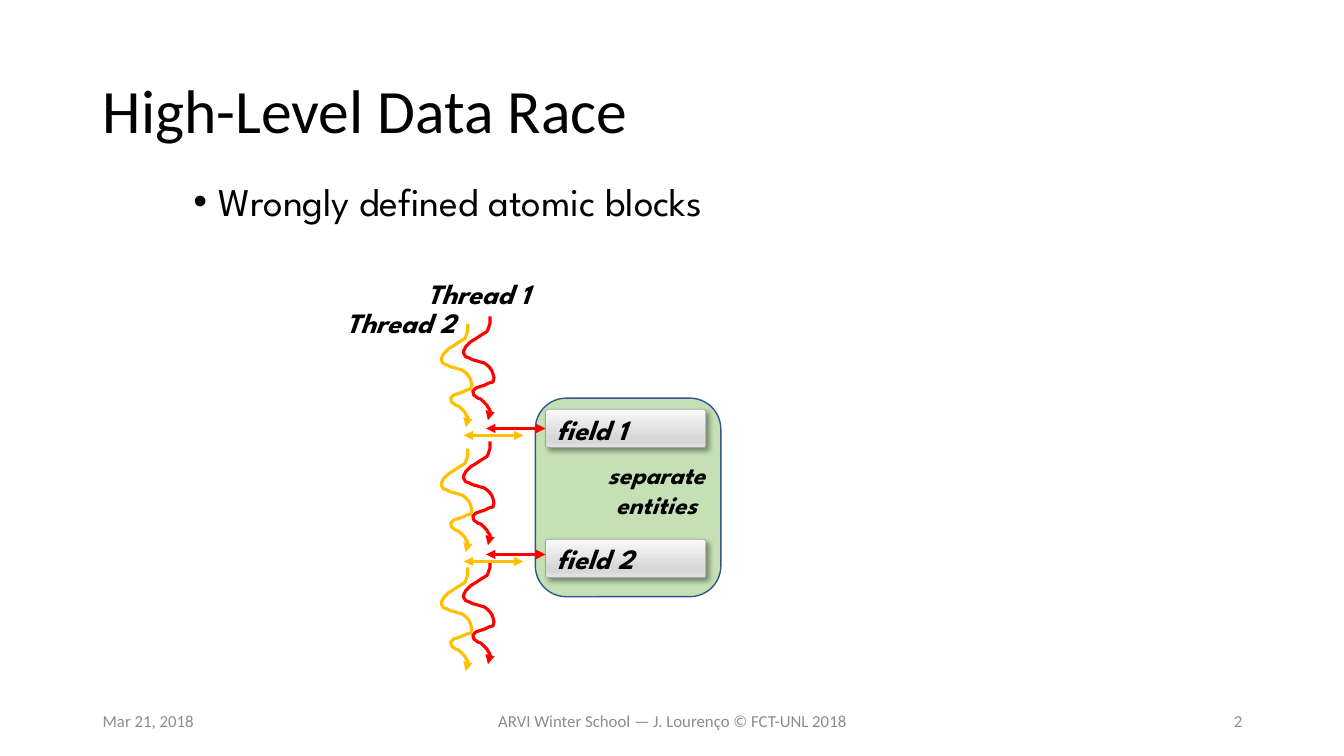
"""Builds the High-Level Data Race slide."""
from dataclasses import dataclass

import pptx
import pptx.dml.color
import pptx.enum.shapes
import pptx.enum.text
import pptx.oxml
import pptx.oxml.ns
import pptx.util
from pptx.util import Inches

ALIGN = pptx.enum.text.PP_ALIGN
ANCHOR = pptx.enum.text.MSO_ANCHOR
SHAPE = pptx.enum.shapes.MSO_SHAPE


@dataclass(frozen=True)
class Theme:
    """Colours, fonts and type sizes of the slide."""
    heading_font: str = "Calibri"
    body_font: str = "League Spartan"
    title_size: int = 44
    body_size: int = 28
    label_size: int = 20
    note_size: int = 18
    footer_size: int = 12
    ink: str = "000000"
    footer_ink: str = "8C8C8C"
    first_thread: str = "FF0000"
    second_thread: str = "FFC000"
    panel: str = "C5E0B4"
    panel_line: str = "325491"
    field_line: str = "A5A5A5"
    field_stops: tuple = ((0, "FAFAFA"), (74, "D7D7D7"), (83, "D7D7D7"), (100, "E4E4E4"))
    thread_width: float = 2.25


THEME = Theme()

WAVE = [
    (0, 7), (-2, 13), (-3, 15), (-8, 18), (-11, 20), (-14, 22), (-19, 25),
    (-22, 28), (-24, 30), (-26, 34), (-26, 37), (-24, 40), (-21, 41), (-17, 43),
    (-13, 44), (-10, 45), (-6, 46), (-3, 48), (-2, 49), (0, 51), (2, 54),
    (3, 57), (4, 61), (3, 65), (-1, 66), (-5, 68), (-11, 70), (-14, 71),
    (-16, 73), (-17, 74), (-16, 78), (-12, 81), (-9, 82), (-6, 85), (-5, 86),
    (-3, 88), (-2, 90), (0, 93), (0, 98), (-2, 100), (-2, 103),
]
WAVE_TOPS = (3.14, 4.38, 5.56)
ACCESS_ROWS = (4.25, 5.5)


def rgb(value):
    """Return a colour from its hex value."""
    return pptx.dml.color.RGBColor.from_string(value)


def add_xml(parent, markup):
    """Append one drawing element to a parent element."""
    namespace = pptx.oxml.ns.nsdecls("a")
    tag, rest = markup[1:].split(" ", 1)
    parent.append(pptx.oxml.parse_xml(f"<{tag} {namespace} {rest}"))


def style_font(paragraph, face, size, color, strong=False):
    """Set the font of a whole paragraph."""
    font = paragraph.font
    font.name = face
    font.size = pptx.util.Pt(size)
    font.color.rgb = rgb(color)
    if strong:
        font.bold = font.italic = True


def add_text(page, text, bounds, anchor=ANCHOR.TOP, align=ALIGN.LEFT):
    """Add a wrapping text box and return its paragraph."""
    box = page.shapes.add_textbox(*map(Inches, bounds))
    frame = box.text_frame
    frame.word_wrap = True
    frame.vertical_anchor = anchor
    paragraph = frame.paragraphs[0]
    paragraph.text = text
    paragraph.alignment = align
    return paragraph


def add_label(page, text, bounds, size=THEME.label_size, align=ALIGN.CENTER):
    """Add a bold italic diagram label."""
    paragraph = add_text(page, text, bounds, align=align)
    style_font(paragraph, THEME.body_font, size, THEME.ink, strong=True)


def add_title(page, text):
    """Place and format the title."""
    title = page.shapes.title
    title.left, title.top, title.width, title.height = map(Inches, (0.92, 0.4, 11.5, 1.45))
    title.text_frame.text = text
    title.text_frame.vertical_anchor = ANCHOR.MIDDLE
    paragraph = title.text_frame.paragraphs[0]
    paragraph.alignment = ALIGN.LEFT
    paragraph.line_spacing = 0.9
    style_font(paragraph, THEME.heading_font, THEME.title_size, THEME.ink)


def add_bullet(page, text, bounds):
    """Add the bulleted statement."""
    paragraph = add_text(page, text, bounds)
    paragraph.line_spacing = 0.9
    properties = paragraph._p.get_or_add_pPr()
    properties.set("marL", str(Inches(0.25)))
    properties.set("indent", str(Inches(-0.25)))
    add_xml(properties, '<a:buFont typeface="Arial"/>')
    add_xml(properties, '<a:buChar char="•"/>')
    style_font(paragraph, THEME.body_font, THEME.body_size, THEME.ink)


def add_footer(page, text, left, width, align):
    """Add one part of the footer."""
    paragraph = add_text(page, text, (left, 6.95, width, 0.4), ANCHOR.MIDDLE, align)
    style_font(paragraph, THEME.heading_font, THEME.footer_size, THEME.footer_ink)


def add_rounded(page, bounds, line_color, line_width):
    """Add a rounded rectangle with an outline."""
    shape = page.shapes.add_shape(SHAPE.ROUNDED_RECTANGLE, *map(Inches, bounds))
    shape.shadow.inherit = False
    shape.line.color.rgb = rgb(line_color)
    shape.line.width = pptx.util.Pt(line_width)
    return shape


def add_panel(page):
    """Add the green panel around the fields."""
    panel = add_rounded(page, (5.31, 3.95, 1.84, 1.97), THEME.panel_line, 1)
    panel.fill.solid()
    panel.fill.fore_color.rgb = rgb(THEME.panel)


def add_field(page, top):
    """Add a shaded field bar with a soft shadow."""
    bar = add_rounded(page, (5.41, top, 1.59, 0.38), THEME.field_line, 0.5)
    bar.adjustments[0] = 0.066
    bar.fill.gradient()
    bar.fill.gradient_angle = 270
    properties = bar._element.spPr
    stops = properties.find(".//" + pptx.oxml.ns.qn("a:gsLst"))
    for stop in list(stops):
        stops.remove(stop)
    for position, color in THEME.field_stops:
        add_xml(stops, f'<a:gs pos="{position * 1000}"><a:srgbClr val="{color}"/></a:gs>')
    add_xml(properties.find(pptx.oxml.ns.qn("a:effectLst")),
            f'<a:outerShdw blurRad="{pptx.util.Pt(4)}" dist="{pptx.util.Pt(3)}" '
            'dir="2700000" algn="tl" rotWithShape="0"><a:srgbClr val="000000">'
            '<a:alpha val="40000"/></a:srgbClr></a:outerShdw>')


def style_arrow(shape, color, ends):
    """Colour a line and give it triangular arrowheads."""
    shape.line.color.rgb = rgb(color)
    shape.line.width = pptx.util.Pt(THEME.thread_width)
    for end in ends:
        add_xml(shape.line._get_or_add_ln(), f'<a:{end} type="triangle"/>')


def add_wave(page, left, top, color):
    """Add one wavy stretch of a thread."""
    builder = page.shapes.build_freeform(0, 0, scale=Inches(0.01))
    builder.add_line_segments(WAVE, close=False)
    wave = builder.convert_to_shape(Inches(left), Inches(top))
    wave.shadow.inherit = False
    wave.fill.background()
    style_arrow(wave, color, ("tailEnd",))


def add_access(page, left, top, color):
    """Add a two-way arrow from a thread to a field."""
    arrow = page.shapes.add_connector(
        pptx.enum.shapes.MSO_CONNECTOR.STRAIGHT,
        *map(Inches, (left, top, left + 0.59, top)))
    style_arrow(arrow, color, ("headEnd", "tailEnd"))
    add_xml(arrow._element.spPr, "<a:effectLst />")


def add_thread(page, color, shift_x=0, shift_y=0):
    """Add a thread with its stretches and accesses."""
    for top in WAVE_TOPS:
        add_wave(page, 4.86 + shift_x, top + shift_y, color)
    for top in ACCESS_ROWS:
        add_access(page, 4.82 + shift_x, top + shift_y, color)


def main():
    """Build and save the deck."""
    deck = pptx.Presentation()
    deck.slide_width, deck.slide_height = Inches(13.33), Inches(7.5)
    page = deck.slides.add_slide(deck.slide_layouts[5])
    add_title(page, "High-Level Data Race")
    add_bullet(page, "Wrongly defined atomic blocks", (1.82, 1.76, 9.7, 5.19))
    add_panel(page)
    for top in (4.06, 5.35):
        add_field(page, top)
    add_thread(page, THEME.first_thread)
    add_thread(page, THEME.second_thread, -0.22, 0.07)
    add_label(page, "Thread 1", (3.92, 2.69, 1.65, 0.44))
    add_label(page, "Thread 2", (3.15, 2.98, 1.65, 0.44))
    add_label(page, "field 1", (5.42, 4.04, 1.65, 0.44), align=ALIGN.LEFT)
    add_label(page, "field 2", (5.42, 5.32, 1.65, 0.44), align=ALIGN.LEFT)
    add_label(page, "separate\ventities", (5.79, 4.51, 1.44, 0.71), THEME.note_size)
    add_footer(page, "Mar 21, 2018", 0.92, 3, ALIGN.LEFT)
    add_footer(page, "ARVI Winter School — J. Lourenço © FCT-UNL 2018", 4.42, 4.5, ALIGN.CENTER)
    add_footer(page, "2", 9.42, 3, ALIGN.RIGHT)
    deck.save("out.pptx")


if __name__ == "__main__":
    main()
